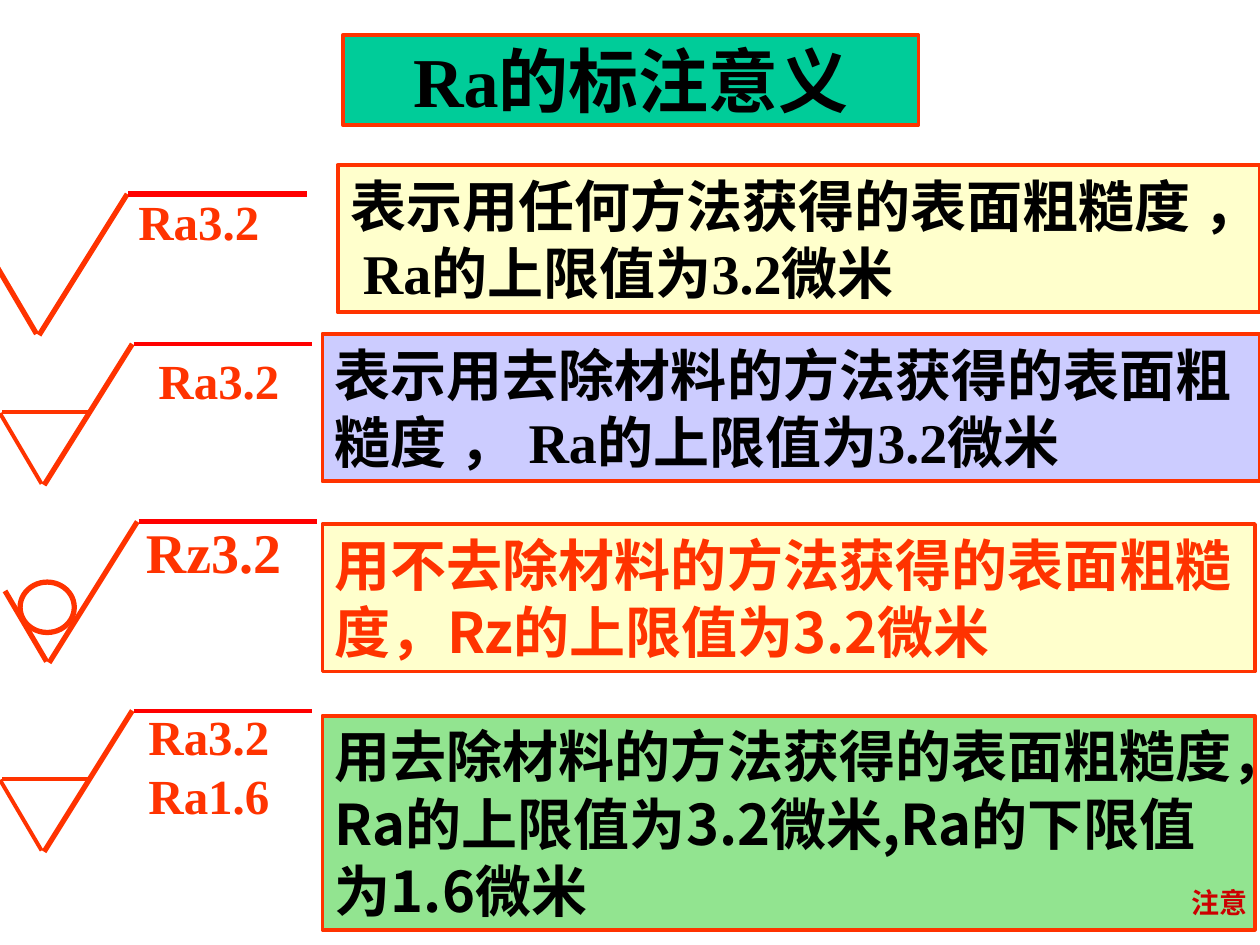
"""Build the slide on the meaning of Ra surface roughness marks."""
from lxml import etree
from pptx import Presentation
from pptx.dml.color import RGBColor
from pptx.enum.shapes import MSO_CONNECTOR, MSO_SHAPE
from pptx.enum.text import MSO_ANCHOR, MSO_AUTO_SIZE, PP_ALIGN
from pptx.oxml.ns import qn
from pptx.util import Inches, Pt

RECT, OVAL, STRAIGHT = MSO_SHAPE.RECTANGLE, MSO_SHAPE.OVAL, MSO_CONNECTOR.STRAIGHT
LEFT, CENTER = PP_ALIGN.LEFT, PP_ALIGN.CENTER
TOP, MIDDLE = MSO_ANCHOR.TOP, MSO_ANCHOR.MIDDLE
NO_FIT = MSO_AUTO_SIZE.NONE

BLACK = RGBColor(0x00, 0x00, 0x00)
ORANGE = RGBColor(0xFF, 0x33, 0x00)
RED = RGBColor(0xFF, 0x00, 0x00)
DARK_RED = RGBColor(0xCC, 0x00, 0x00)
TEAL = RGBColor(0x00, 0xCC, 0x99)
CREAM = RGBColor(0xFF, 0xFF, 0xCC)
LILAC = RGBColor(0xCC, 0xCC, 0xFF)
GREEN = RGBColor(0x92, 0xE4, 0x90)
SERIF, SANS = "Times New Roman", "Noto Sans CJK SC"

TITLE = ("Ra的标注意义", (2.72, 0.28, 4.57, 0.71))
NOTE = ("注意", (9.36, 6.98, 0.64, 0.37))
MEANINGS = [
    ("表示用任何方法获得的表面粗糙度 ， Ra的上限值为3.2微米",
     (2.68, 1.31, 7.32, 1.17), CREAM, SERIF, BLACK),
    ("表示用去除材料的方法获得的表面粗糙度 ， Ra的上限值为3.2微米",
     (2.56, 2.65, 7.44, 1.17), LILAC, SERIF, BLACK),
    ("用不去除材料的方法获得的表面粗糙度，Rz的上限值为3.2微米",
     (2.56, 4.16, 7.4, 1.17), CREAM, SANS, ORANGE),
    ("用去除材料的方法获得的表面粗糙度，Ra的上限值为3.2微米,Ra的下限值为1.6微米",
     (2.56, 5.68, 7.4, 1.7), GREEN, SANS, BLACK),
]
SYMBOLS = [
    {"corner": (1.01, 1.54), "kind": "any", "labels": ["Ra3.2"],
     "box": (1, 1.47, 1.16, 0.57), "size": 28},
    {"corner": (1.05, 2.73), "kind": "removed", "labels": ["Ra3.2"],
     "box": (1.16, 2.73, 1.16, 0.57), "size": 28},
    {"corner": (1.09, 4.14), "kind": "kept", "labels": ["Rz3.2"],
     "box": (1.06, 4.06, 1.27, 0.64), "size": 32},
    {"corner": (1.05, 5.64), "kind": "removed", "labels": ["Ra3.2", "Ra1.6"],
     "box": (1.08, 5.56, 1.16, 1.04), "size": 28},
]
LEFT_ARM = (-1.05, 0.55, -0.72, 1.11)
RIGHT_ARM = (-0.7, 1.12, 0, 0)
TOP_BAR = (0.01, 0, 1.43, 0)
TRIANGLE_BAR = (-1.03, 0.54, -0.33, 0.54)
CIRCLE = (-0.93, 0.48, 0.43, 0.4)


def inches(values):
    return [Inches(v) for v in values]


def write(shape, lines, size, color, font=SERIF, align=LEFT, anchor=TOP, wrap=True):
    tf = shape.text_frame
    frame = {"auto_size": NO_FIT, "word_wrap": wrap, "vertical_anchor": anchor}
    for name, value in frame.items():
        setattr(tf, name, value)
    for i, line in enumerate(lines):
        p = tf.add_paragraph() if i else tf.paragraphs[0]
        p.alignment = align
        r = p.add_run()
        r.text = line
        for name, value in {"size": Pt(size), "bold": True, "name": font}.items():
            setattr(r.font, name, value)
        r.font.color.rgb = color
        etree.SubElement(r.font._element, qn("a:ea"), typeface=SANS)


def paint(shape, fill):
    shape.fill.solid()
    shape.fill.fore_color.rgb = fill
    shape.line.color.rgb = ORANGE
    shape.line.width = Pt(2.25)


def add_line(shapes, corner, ends, color, width):
    x, y = corner
    x1, y1, x2, y2 = ends
    line = shapes.add_connector(STRAIGHT, *inches((x + x1, y + y1, x + x2, y + y2)))
    line.line.color.rgb = color
    line.line.width = Pt(width)
    etree.SubElement(line._element.spPr, qn("a:effectLst"))


def add_symbol(s, symbol):
    shapes = s.shapes.add_group_shape().shapes
    corner, kind = symbol["corner"], symbol["kind"]
    thin = 2.25 if kind == "removed" else 3
    if kind == "kept":
        x, y, w, h = CIRCLE
        circle = shapes.add_shape(OVAL, *inches((corner[0] + x, corner[1] + y, w, h)))
        circle.shadow.inherit = False
        circle.fill.background()
        circle.line.color.rgb = ORANGE
        circle.line.width = Pt(3)
    if kind == "removed":
        add_line(shapes, corner, TRIANGLE_BAR, ORANGE, thin)
    add_line(shapes, corner, LEFT_ARM, ORANGE, thin)
    add_line(shapes, corner, RIGHT_ARM, ORANGE, 3)
    label = shapes.add_textbox(*inches(symbol["box"]))
    write(label, symbol["labels"], symbol["size"], ORANGE, wrap=False)
    add_line(shapes, corner, TOP_BAR, RED, thin)


def main():
    prs = Presentation()
    prs.slide_width, prs.slide_height = Inches(10), Inches(7.5)
    s = prs.slides.add_slide(prs.slide_layouts[5])

    text, box = TITLE
    title = s.shapes.title
    title.left, title.top, title.width, title.height = inches(box)
    paint(title, TEAL)
    write(title, [text], 40, BLACK, align=CENTER, anchor=MIDDLE)

    for text, box, fill, font, color in MEANINGS:
        sp = s.shapes.add_shape(RECT, *inches(box))
        sp.shadow.inherit = False
        paint(sp, fill)
        write(sp, [text], 32, color, font)

    text, box = NOTE
    note = s.shapes.add_textbox(*inches(box))
    write(note, [text], 16, DARK_RED, align=CENTER, wrap=False)

    for symbol in SYMBOLS:
        add_symbol(s, symbol)
    prs.save("out.pptx")


if __name__ == "__main__":
    main()
